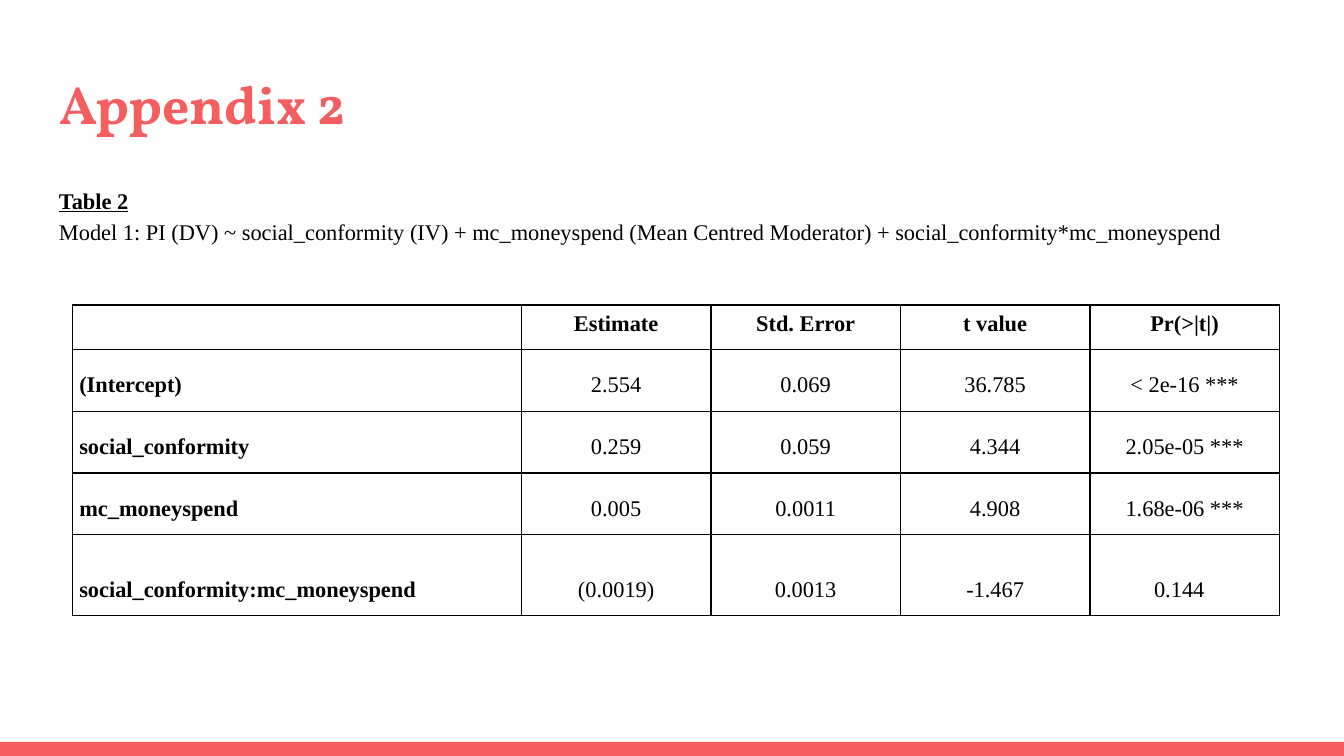
from dataclasses import dataclass

from lxml.etree import SubElement
from pptx import Presentation
from pptx.dml.color import RGBColor
from pptx.enum.shapes import MSO_SHAPE
from pptx.enum.text import MSO_ANCHOR as Anchor, MSO_AUTO_SIZE as AutoSize, PP_ALIGN as Align
from pptx.oxml.ns import qn
from pptx.util import Inches, Pt


@dataclass(frozen=True)
class Theme:
    accent: RGBColor = RGBColor(0xF5, 0x5E, 0x61)
    ink: RGBColor = RGBColor(0, 0, 0)
    title_font: str = "Vollkorn"
    body_font: str = "Times New Roman"
    title_size: float = 28.8
    body_size: float = 12
    line_spacing: float = 1.15
    border_width: float = 0.75


@dataclass(frozen=True)
class Area:
    left: float
    top: float
    width: float
    height: float

    def lengths(self) -> tuple:
        return tuple(Inches(v) for v in (self.left, self.top, self.width, self.height))


@dataclass(frozen=True)
class Coefficient:
    term: str
    estimate: str
    error: str
    t_value: str
    p_value: str
    height: float = 0.46
    p_margin: float = 0.01

    def texts(self) -> tuple:
        return self.term, self.estimate, self.error, self.t_value, self.p_value


THEME = Theme()
TITLE_AREA = Area(0.34, 0.43, 9.32, 0.68)
CAPTION_AREA = Area(0.34, 1.26, 9.32, 3.74)
FOOTER_AREA = Area(0, 5.52, 10, 0.11)
COLUMN_WIDTHS = [3.34] + [1.41] * 4
ROWS = [
    Coefficient("", "Estimate", "Std. Error", "t value", "Pr(>|t|)", height=0.33),
    Coefficient("(Intercept)", "2.554", "0.069", "36.785", "< 2e-16 ***"),
    Coefficient("social_conformity", "0.259", "0.059", "4.344", "2.05e-05 ***"),
    Coefficient("mc_moneyspend", "0.005", "0.0011", "4.908", "1.68e-06 ***"),
    Coefficient("social_conformity:mc_moneyspend", "(0.0019)", "0.0013", "-1.467", "0.144",
                height=0.6, p_margin=0.09),
]
TABLE_AREA = Area(0.54, 2.27, sum(COLUMN_WIDTHS), sum(row.height for row in ROWS))
BODY_FORMAT = {"name": THEME.body_font, "size": Pt(THEME.body_size)}


def apply_format(target, values: dict) -> None:
    for name, value in values.items():
        setattr(target, name, value)


def write(para, text: str, color: RGBColor, font_format: dict) -> None:
    span = para.add_run()
    span.text = text
    apply_format(span.font, font_format)
    span.font.color.rgb = color


def set_frame(frame) -> None:
    margins = dict.fromkeys(
        ("margin_left", "margin_top", "margin_right", "margin_bottom"), Inches(0.1))
    apply_format(frame, margins | {"word_wrap": True, "auto_size": AutoSize.NONE,
                                   "vertical_anchor": Anchor.TOP})


def place_title(page) -> None:
    box = page.shapes.title
    box.left, box.top, box.width, box.height = TITLE_AREA.lengths()
    set_frame(box.text_frame)
    para = box.text_frame.paragraphs[0]
    para.alignment = Align.LEFT
    write(para, "Appendix 2", THEME.accent,
          {"name": THEME.title_font, "size": Pt(THEME.title_size), "bold": True})


def add_caption(page) -> None:
    frame = page.shapes.add_textbox(*CAPTION_AREA.lengths()).text_frame
    set_frame(frame)
    heading, model = frame.paragraphs[0], frame.add_paragraph()
    heading.line_spacing = model.line_spacing = THEME.line_spacing
    write(heading, "Table 2", THEME.ink, BODY_FORMAT | {"bold": True, "underline": True})
    write(model, "Model 1: PI (DV) ~ social_conformity (IV) + mc_moneyspend "
                 "(Mean Centred Moderator) + social_conformity*mc_moneyspend",
          THEME.ink, BODY_FORMAT)


def set_borders(cell) -> None:
    properties = cell._tc.get_or_add_tcPr()
    for side in ("lnL", "lnR", "lnT", "lnB"):
        line = SubElement(properties, qn(f"a:{side}"), w=str(Pt(THEME.border_width)))
        fill = SubElement(line, qn("a:solidFill"))
        SubElement(fill, qn("a:srgbClr"), val=str(THEME.ink))


def fill_cell(cell, text: str, bold: bool, is_term: bool, right: float) -> None:
    set_borders(cell)
    cell.fill.background()
    apply_format(cell, {
        "vertical_anchor": Anchor.BOTTOM,
        "margin_left": Inches(0.05 if is_term else 0.01),
        "margin_right": Inches(right),
        "margin_top": Inches(0.01),
        "margin_bottom": Inches(0.1),
    })
    para = cell.text_frame.paragraphs[0]
    if not text:
        # The size of an empty paragraph keeps its row from growing.
        SubElement(para._p, qn("a:endParaRPr"), sz=str(int(THEME.body_size * 100)))
        return
    para.alignment = Align.LEFT if is_term else Align.CENTER
    para.line_spacing = 1.0 if is_term else THEME.line_spacing
    write(para, text, THEME.ink, BODY_FORMAT | {"bold": bold})


def add_coefficient_table(page) -> None:
    table = page.shapes.add_table(
        len(ROWS), len(COLUMN_WIDTHS), *TABLE_AREA.lengths()).table
    apply_format(table, {"first_row": False, "horz_banding": False})
    for column, width in zip(table.columns, COLUMN_WIDTHS):
        column.width = Inches(width)
    last = len(COLUMN_WIDTHS) - 1
    for row_index, row in enumerate(ROWS):
        table.rows[row_index].height = Inches(row.height)
        for index, text in enumerate(row.texts()):
            fill_cell(table.cell(row_index, index), text,
                      bold=row_index == 0 or index == 0, is_term=index == 0,
                      right=row.p_margin if index == last else 0.01)


def add_footer_bar(page) -> None:
    bar = page.shapes.add_shape(MSO_SHAPE.RECTANGLE, *FOOTER_AREA.lengths())
    bar.shadow.inherit = False
    bar.fill.solid()
    bar.fill.fore_color.rgb = THEME.accent
    bar.line.fill.background()


def main() -> None:
    deck = Presentation()
    deck.slide_width = Inches(10)
    deck.slide_height = deck.slide_width * 9 // 16
    page = deck.slides.add_slide(deck.slide_layouts.get_by_name("Title Only"))
    add_footer_bar(page)
    place_title(page)
    add_caption(page)
    add_coefficient_table(page)
    deck.save("out.pptx")


if __name__ == "__main__":
    main()
